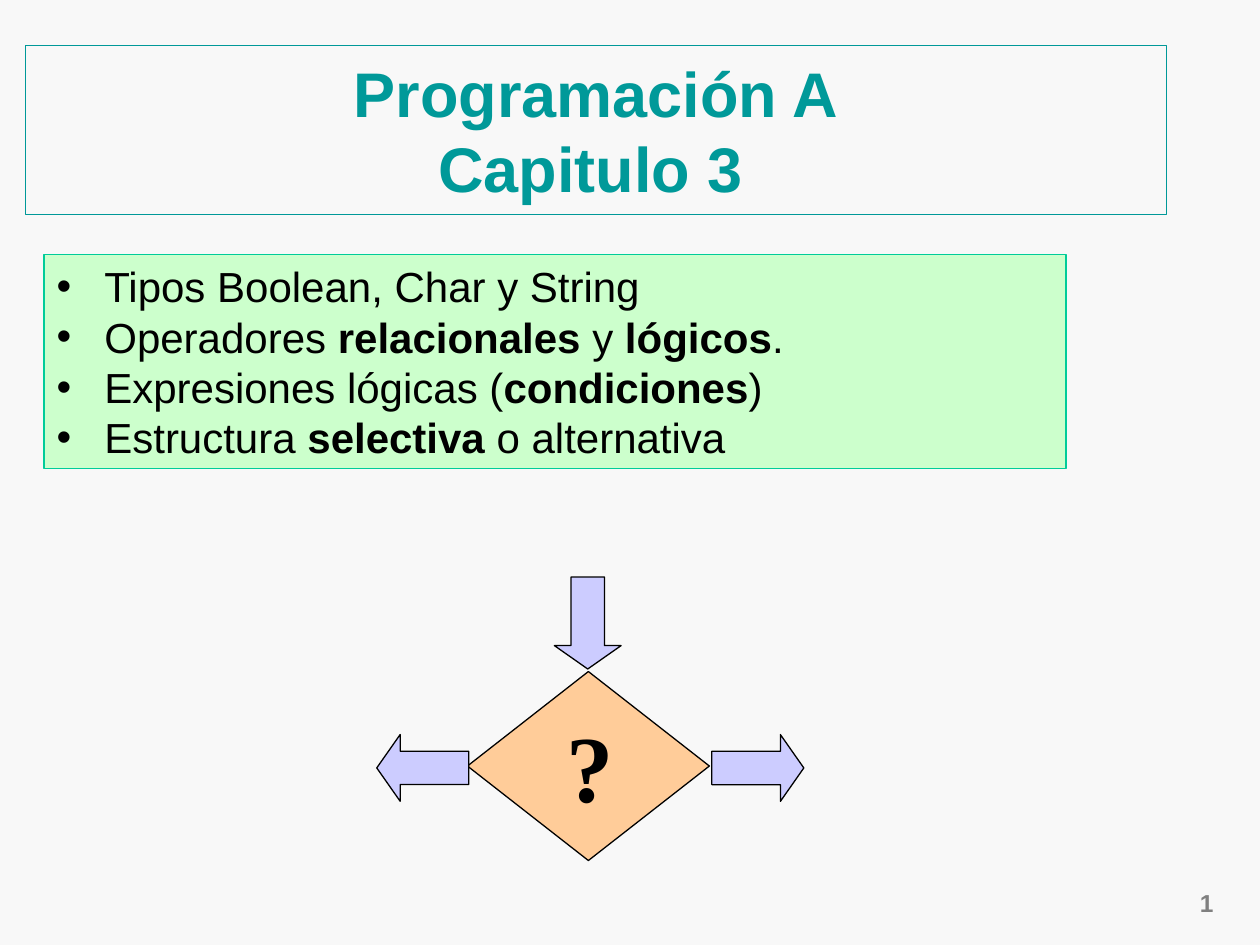
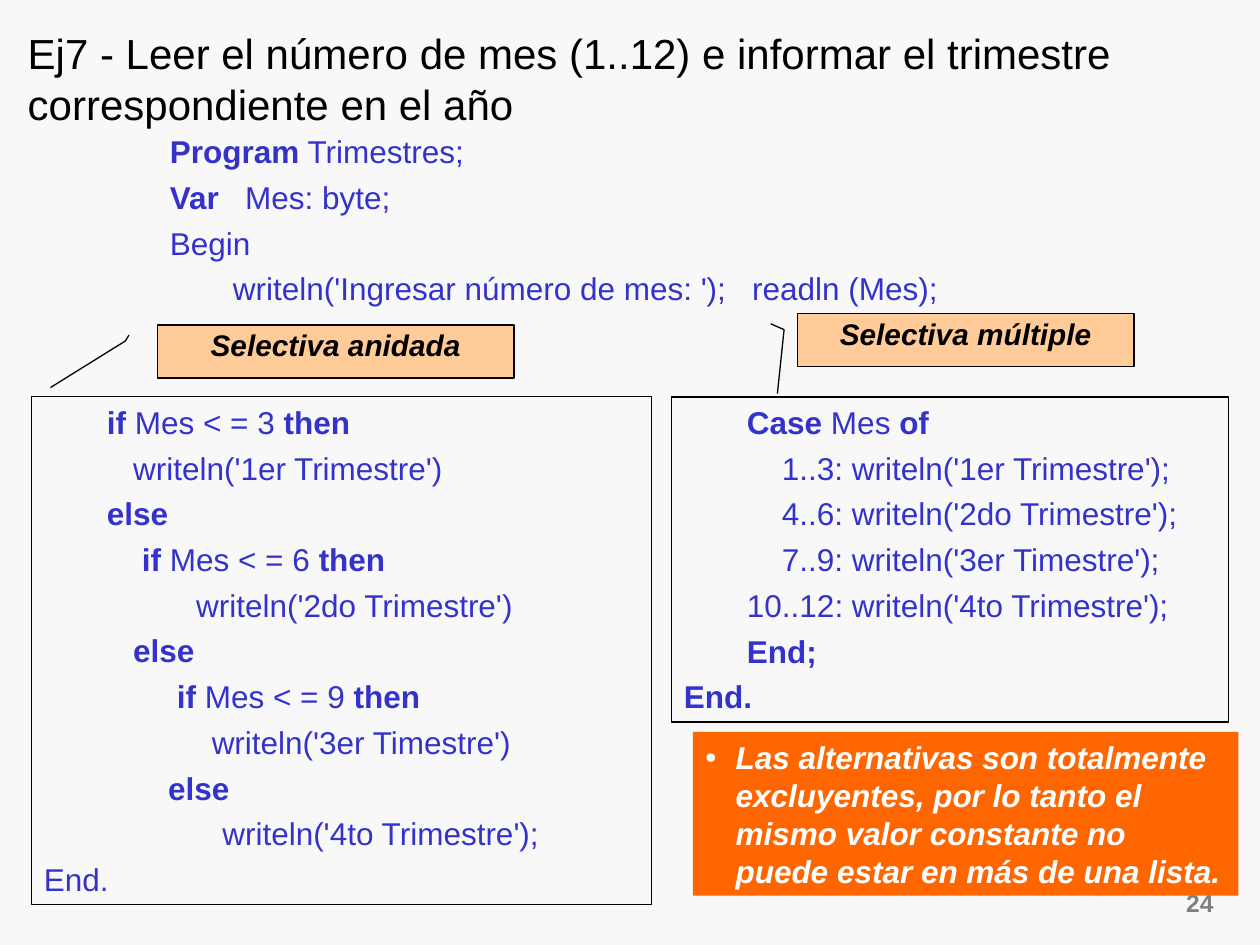
from dataclasses import dataclass

from lxml import etree
from pptx import Presentation
from pptx import util as u
from pptx.dml.color import RGBColor
from pptx.enum import shapes, text
from pptx.oxml import ns


@dataclass(frozen=True)
class Theme:
    font: str = "Arial"
    symbol_font: str = "Times New Roman"
    background: str = "F8F8F8"
    ink: str = "000000"
    teal: str = "009999"
    green: str = "CCFFCC"
    green_line: str = "00CC99"
    peach: str = "FFCC99"
    lilac: str = "CCCCFF"
    code: str = "3333CC"
    orange: str = "FF6600"
    white: str = "FFFFFF"
    gray: str = "808080"
    cover_size: float = 36
    symbol_size: float = 54
    body_size: float = 24
    code_size: float = 18
    label_size: float = 17
    number_size: float = 14
    line_width: float = 0.75
    code_gap: float = 4.5


def set_values(target, values):
    for name, value in values.items():
        setattr(target, name, value)


def add_element(parent, tag, **attributes):
    return etree.SubElement(parent, ns.qn(tag), attributes)


class Deck:
    def __init__(self, theme):
        self.theme = theme
        self.presentation = Presentation()
        set_values(self.presentation, {"slide_width": u.Inches(10), "slide_height": u.Inches(7.5)})
        fill = self.presentation.slide_master.background.fill
        fill.solid()
        fill.fore_color.rgb = RGBColor.from_string(theme.background)
        self.slide = None

    def add_slide(self, number):
        self.slide = self.presentation.slides.add_slide(self.presentation.slide_layouts[5])
        theme = self.theme
        self.text_box((9.08, 7, 0.65, 0.34), [number], size=theme.number_size, color=theme.gray,
                      bold=True, align=text.PP_ALIGN.RIGHT)

    def paint(self, shape, fill=None, line=None):
        if fill:
            shape.fill.solid()
            shape.fill.fore_color.rgb = RGBColor.from_string(fill)
        else:
            shape.fill.background()
        if line:
            shape.line.color.rgb = RGBColor.from_string(line)
            shape.line.width = u.Pt(self.theme.line_width)
        else:
            shape.line.fill.background()

    def set_text(self, shape, lines, size, color=None, font=None, bold=False, italic=False,
                 align=text.PP_ALIGN.LEFT, anchor=text.MSO_ANCHOR.TOP, wrap=True, gap=0,
                 line_spacing=None, margin=0, hanging=0, bullet=False, tab_step=None):
        frame = shape.text_frame
        set_values(frame, {
            "word_wrap": wrap, "auto_size": text.MSO_AUTO_SIZE.NONE, "vertical_anchor": anchor,
            "margin_left": u.Inches(0.1), "margin_right": u.Inches(0.1),
            "margin_top": u.Inches(0.05), "margin_bottom": u.Inches(0.05),
        })
        color = color or self.theme.ink
        for index, line in enumerate(lines):
            paragraph = frame.add_paragraph() if index else frame.paragraphs[0]
            set_values(paragraph, {
                "alignment": align, "line_spacing": line_spacing,
                "space_before": u.Pt(gap if index else 0), "space_after": u.Pt(0),
            })
            properties = paragraph._p.get_or_add_pPr()
            properties.set("marL", str(u.Inches(margin)))
            properties.set("indent", str(u.Inches(-hanging)))
            if bullet:
                bullet_color = add_element(properties, "a:buClr")
                add_element(bullet_color, "a:srgbClr", val=color)
                add_element(properties, "a:buFont", typeface=self.theme.font)
                add_element(properties, "a:buChar", char="•")
            if tab_step:
                tabs = add_element(properties, "a:tabLst")
                for stop in range(8):
                    add_element(tabs, "a:tab", pos=str(u.Inches(stop * tab_step)), algn="l")
            for row, row_text in enumerate(line.split("\n")):
                if row:
                    paragraph.add_line_break()
                for part, words in enumerate(row_text.split("**")):
                    if words:
                        run = paragraph.add_run()
                        run.text = words
                        set_values(run.font, {
                            "name": font or self.theme.font, "size": u.Pt(size),
                            "bold": bold or part % 2 == 1, "italic": italic,
                        })
                        run.font.color.rgb = RGBColor.from_string(color)

    def title(self, box, words, line=None, **style):
        shape = self.slide.shapes.title
        set_values(shape, dict(zip(("left", "top", "width", "height"), map(u.Inches, box))))
        self.paint(shape, line=line)
        self.set_text(shape, [words], **style)

    def text_box(self, box, lines, **style):
        shape = self.slide.shapes.add_textbox(*map(u.Inches, box))
        self.set_text(shape, lines, **style)
        return shape

    def shape(self, kind, box, fill=None, line=None, adjustments=(), rotation=0):
        shape = self.slide.shapes.add_shape(kind, *map(u.Inches, box))
        shape.shadow.inherit = False
        shape.rotation = rotation
        for index, value in enumerate(adjustments):
            shape.adjustments[index] = value
        self.paint(shape, fill, line)
        return shape

    def panel(self, box, lines, fill=None, line=None, **style):
        shape = self.shape(shapes.MSO_SHAPE.RECTANGLE, box, fill, line)
        self.set_text(shape, lines, **style)

    def code_panel(self, box, lines):
        self.panel(box, lines, line=self.theme.ink, size=self.theme.code_size,
                   color=self.theme.code, gap=self.theme.code_gap, tab_step=5 / 12)

    def callout(self, box, words, adjustments):
        theme = self.theme
        shape = self.shape(shapes.MSO_SHAPE.LINE_CALLOUT_2, box, theme.peach, theme.ink, adjustments)
        self.set_text(shape, [words], size=theme.label_size, bold=True, italic=True,
                      align=text.PP_ALIGN.CENTER, line_spacing=0.9)

    def decision(self):
        theme = self.theme
        parts = [self.shape(shapes.MSO_SHAPE.FLOWCHART_DECISION, (3.71, 5.33, 1.92, 1.5),
                            theme.peach, theme.ink)]
        for left, top, rotation in ((4.4, 4.58, 0), (5.75, 5.73, 270), (3.09, 5.73, 90)):
            parts.append(self.shape(shapes.MSO_SHAPE.DOWN_ARROW, (left, top, 0.53, 0.73),
                                    theme.lilac, theme.ink, (0.5, 0.35), rotation))
        parts.append(self.text_box((4.4, 5.57, 0.57, 1), ["?"], size=theme.symbol_size,
                                   font=theme.symbol_font, bold=True, wrap=False))
        self.slide.shapes.add_group_shape(parts)


def build_cover(deck):
    theme = deck.theme
    deck.add_slide("1")
    deck.title((0.2, 0.36, 9.06, 1.34), "Programación A\nCapitulo 3\t", line=theme.teal,
               size=theme.cover_size, color=theme.teal, bold=True, tab_step=1,
               align=text.PP_ALIGN.CENTER, anchor=text.MSO_ANCHOR.MIDDLE)
    deck.decision()
    deck.panel((0.35, 2.02, 8.11, 1.7), [
        "Tipos Boolean, Char y String",
        "Operadores **relacionales** y **lógicos**.",
        "Expresiones lógicas (**condiciones**)",
        "Estructura **selectiva** o alternativa",
    ], theme.green, theme.green_line, size=theme.body_size, margin=0.38, hanging=0.38, bullet=True)


def build_quarters(deck):
    theme = deck.theme
    deck.add_slide("24")
    deck.title((0.12, 0.17, 9.22, 0.92),
               "Ej7 - Leer el número de mes (1..12) e informar el trimestre "
               "correspondiente en el año", size=theme.body_size)
    deck.text_box((0.75, 1, 8.5, 1.49), [
        "**Program** Trimestres;",
        "**Var**   Mes: byte;",
        "Begin",
        "\twriteln('Ingresar número de mes: ');   readln (Mes);",
    ], size=theme.code_size, color=theme.code, gap=theme.code_gap, margin=0.5, tab_step=1)
    deck.code_panel((0.25, 3.15, 4.92, 4.03), [
        "\t**if** Mes < = 3 **then**",
        "\t   writeln('1er Trimestre')",
        "\t**else**",
        "\t    **if** Mes < = 6 **then**",
        "\t\t   writeln('2do Trimestre')",
        "\t   **else**",
        "\t        **if** Mes < = 9 **then**",
        "\t            writeln('3er Timestre')",
        "\t       **else**",
        "\t\t      writeln('4to Trimestre');",
        "End.",
    ])
    deck.code_panel((5.33, 3.15, 4.42, 2.58), [
        "\t**Case** Mes **of**",
        "\t    1..3: writeln('1er Trimestre');",
        "\t    4..6: writeln('2do Trimestre');",
        "\t    7..9: writeln('3er Timestre');",
        "\t10..12: writeln('4to Trimestre');",
        "\t**End;**",
        "**End.**",
    ])
    deck.callout((1.25, 2.58, 2.83, 0.42), "Selectiva anidada",
                 (0.19, -0.08, 0.3, -0.09, 1.18, -0.3))
    deck.callout((6.33, 2.49, 2.67, 0.42), "Selectiva múltiple",
                 (0.19, -0.08, 0.3, -0.04, 1.51, -0.06))
    deck.panel((5.5, 5.81, 4.33, 1.3), [
        "Las alternativas son totalmente excluyentes, por lo tanto el mismo valor "
        "constante no puede estar en más de una lista.",
    ], theme.orange, size=theme.code_size, color=theme.white, bold=True, italic=True,
        margin=0.24, hanging=0.24, bullet=True)


def main():
    deck = Deck(Theme())
    build_cover(deck)
    build_quarters(deck)
    deck.presentation.save("out.pptx")


if __name__ == "__main__":
    main()
